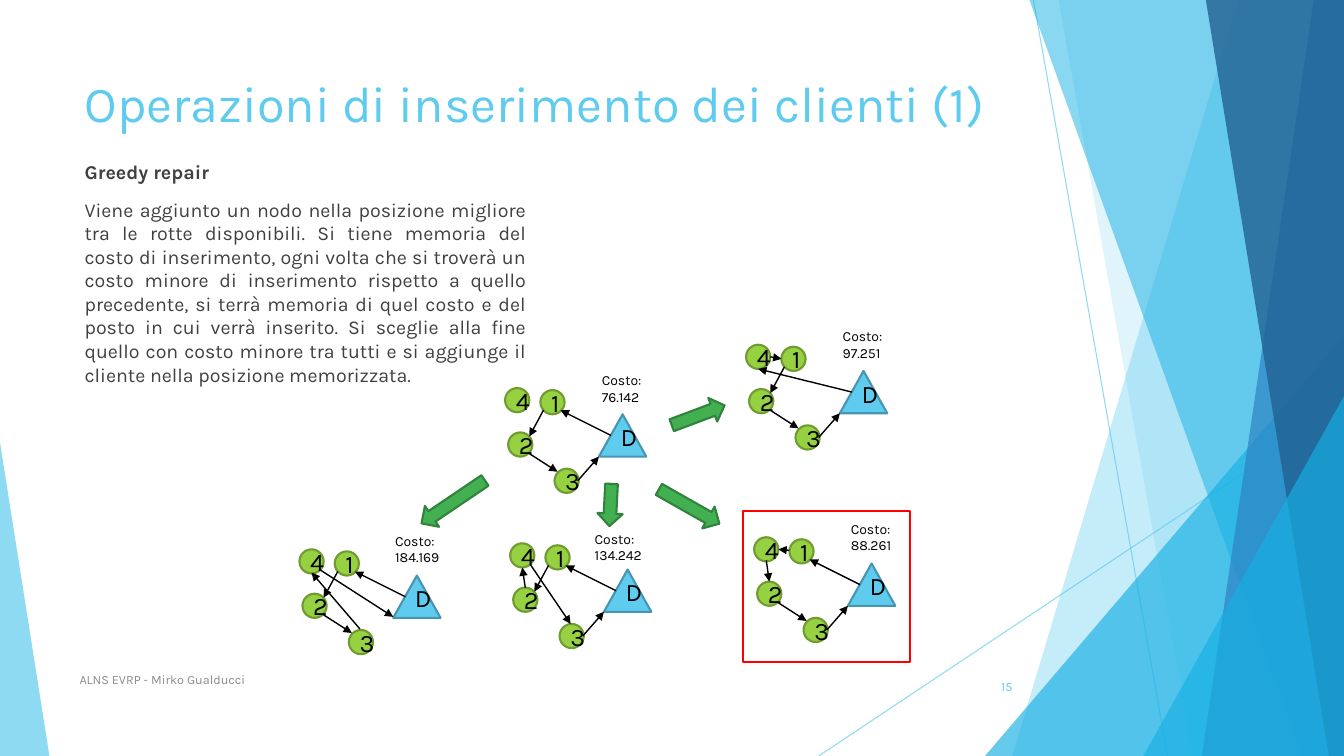
from lxml import etree
from pptx import Presentation
from pptx.dml.color import RGBColor
from pptx.enum import shapes, text
from pptx.oxml.ns import qn
from pptx.util import Inches, Pt

FONT = "Karla"
WIDTH, HEIGHT = 13.33, 7.5
SKY, CYAN, BLACK = "5FCBEF", "17B0E4", "000000"
NODE_SIZE = 0.24

# Offsets from the top left corner of a route diagram
NODES = {"1": (0.35, 0.02), "2": (0.03, 0.44), "3": (0.49, 0.8), "4": (0, 0)}
DEPOT = (0.93, 0.26)
EDGES = {
    "D1": ((1.05, 0.47), (0.55, 0.22)),
    "D4": ((1.05, 0.47), (0.12, 0.24)),
    "12": ((0.38, 0.22), (0.24, 0.48)),
    "14": ((0.35, 0.13), (0.24, 0.12)),
    "23": ((0.24, 0.65), (0.52, 0.83)),
    "24": ((0.15, 0.44), (0.12, 0.24)),
    "34": ((0.6, 0.79), (0.12, 0.23)),
    "3D": ((0.72, 0.92), (0.93, 0.68)),
    "41": ((0.24, 0.12), (0.35, 0.14)),
    "42": ((0.12, 0.23), (0.15, 0.44)),
    "43": ((0.2, 0.21), (0.6, 0.8)),
    "4D": ((0.2, 0.2), (0.93, 0.67)),
}

# Corner, stops in order, cost, corner of the cost label
ROUTES = [
    ((5.01, 3.85), "D123D", "76.142", (5.87, 3.64)),
    ((7.4, 3.42), "D4123D", "97.251", (8.26, 3.2)),
    ((7.48, 5.33), "D1423D", "88.261", (8.34, 5.11)),
    ((2.97, 5.45), "D1234D", "184.169", (3.82, 5.23)),
    ((5.06, 5.39), "D1243D", "134.242", (5.8, 5.21)),
]

# Left, top, length, rotation
BLOCK_ARROWS = [
    (6.8, 3.84, 0.56, 249.4),
    (6.71, 4.68, 0.69, 299.6),
    (5.93, 4.8, 0.42, 2.9),
    (4.37, 4.6, 0.76, 55.9),
]

# Top left x, bottom left x, colour, opacity in percent
BACK_PANELS = [(12.28, 10.04, SKY, 36), (10.5, 11.83, SKY, 20)]
FRONT_PANELS = [
    (10.21, 12.91, CYAN, 50),
    (13.03, 11.92, "2E83C3", 70),
    (11.96, 13.18, "226292", 80),
]

BODY = (
    "Viene aggiunto un nodo nella posizione migliore tra le rotte disponibili. "
    "Si tiene memoria del costo di inserimento, ogni volta che si troverà un costo "
    "minore di inserimento rispetto a quello precedente, si terrà memoria di quel "
    "costo e del posto in cui verrà inserito. Si sceglie alla fine quello con costo "
    "minore tra tutti e si aggiunge il cliente nella posizione memorizzata."
)


def paint(color_format, color, opacity=100):
    color_format.rgb = RGBColor.from_string(color)
    if opacity < 100:
        for element in color_format._xFill.iter(qn("a:srgbClr")):
            etree.SubElement(element, qn("a:alpha")).set("val", str(opacity * 1000))


def style_shape(shape, fill=None, line=None, opacity=100):
    shape.shadow.inherit = False
    if fill:
        shape.fill.solid()
        paint(shape.fill.fore_color, fill)
        for element in shape._element.spPr.find(qn("a:solidFill")):
            if opacity < 100:
                etree.SubElement(element, qn("a:alpha")).set("val", str(opacity * 1000))
    else:
        shape.fill.background()
    if line:
        paint(shape.line.color, line)
        shape.line.width = Pt(1.5)
    else:
        shape.line.fill.background()


def add_preset(slide, kind, left, top, width, height, **style):
    shape = slide.shapes.add_shape(
        kind, Inches(left), Inches(top), Inches(width), Inches(height))
    style_shape(shape, **style)
    return shape


def add_line(slide, start, end, color, width, opacity=100, arrow=False):
    line = slide.shapes.add_connector(
        shapes.MSO_CONNECTOR.STRAIGHT, *map(Inches, (*start, *end)))
    line.line.width = Pt(width)
    paint(line.line.color, color)
    outline = line.line._get_or_add_ln()
    if opacity < 100:
        for element in outline.iter(qn("a:srgbClr")):
            etree.SubElement(element, qn("a:alpha")).set("val", str(opacity * 1000))
    if arrow:
        etree.SubElement(outline, qn("a:tailEnd")).set("type", "triangle")
    etree.SubElement(line._element.spPr, qn("a:effectLst"))


def format_text(paragraph, size, color, align=text.PP_ALIGN.LEFT, bold=False):
    paragraph.alignment = align
    for run in paragraph.runs:
        run.font.name = FONT
        run.font.size = Pt(size)
        run.font.bold = bold
        paint(run.font.color, color)


def add_text(slide, left, top, width, height, content, size, color,
             align=text.PP_ALIGN.LEFT, anchor=text.MSO_ANCHOR.TOP, wrap=True):
    box = slide.shapes.add_textbox(
        Inches(left), Inches(top), Inches(width), Inches(height))
    frame = box.text_frame
    frame.text = content
    frame.word_wrap = wrap
    frame.vertical_anchor = anchor
    for paragraph in frame.paragraphs:
        format_text(paragraph, size, color, align)
    return frame


def add_label(shape, label, anchor):
    frame = shape.text_frame
    frame.text = label
    frame.vertical_anchor = anchor
    format_text(frame.paragraphs[0], 18, BLACK, text.PP_ALIGN.CENTER)


def add_panel(slide, top_x, bottom_x, color, opacity):
    """Full-height panel that reaches the right edge of the slide."""
    corners = [(WIDTH, 0), (WIDTH, HEIGHT), (bottom_x, HEIGHT)]
    builder = slide.shapes.build_freeform(Inches(top_x), 0)
    builder.add_line_segments([(Inches(x), Inches(y)) for x, y in corners])
    style_shape(builder.convert_to_shape(), fill=color, opacity=opacity)


def add_corner(slide, left, top, width, apex, color, opacity):
    """Triangle that stands on the bottom edge of the slide."""
    corner = add_preset(slide, shapes.MSO_SHAPE.ISOSCELES_TRIANGLE, left, top,
                        width, HEIGHT - top, fill=color, opacity=opacity)
    corner.adjustments[0] = apex


def add_background(slide):
    add_line(slide, (10.25, 0), (11.58, HEIGHT), SKY, 0.75, opacity=70)
    add_line(slide, (WIDTH, 4.03), (8.12, HEIGHT), SKY, 0.75, opacity=70)
    for panel in BACK_PANELS:
        add_panel(slide, *panel)
    add_corner(slide, 9.77, 3.33, 3.56, 1, CYAN, 66)
    for panel in FRONT_PANELS:
        add_panel(slide, *panel)
    add_corner(slide, 11.34, 3.93, 1.99, 1, CYAN, 66)
    add_corner(slide, 0, 4.39, 0.49, 0, SKY, 70)


def add_route(slide, corner, stops, cost, label_corner):
    def place(offset):
        return corner[0] + offset[0], corner[1] + offset[1]

    for name, offset in NODES.items():
        node = add_preset(slide, shapes.MSO_SHAPE.OVAL, *place(offset),
                          NODE_SIZE, NODE_SIZE, fill="96D141", line="6F9B30")
        add_label(node, name, text.MSO_ANCHOR.MIDDLE)
    depot = add_preset(slide, shapes.MSO_SHAPE.ISOSCELES_TRIANGLE, *place(DEPOT),
                       0.47, 0.42, fill=SKY, line="4696B1")
    add_label(depot, "D", text.MSO_ANCHOR.BOTTOM)
    for origin, target in zip(stops, stops[1:]):
        start, end = EDGES[origin + target]
        add_line(slide, place(start), place(end), BLACK, 1, arrow=True)
    label_width = 0.62 if len(cost) == 6 else 0.69
    add_text(slide, *label_corner, label_width, 0.44, f"Costo:\n{cost}", 10, BLACK,
             wrap=False)


def main():
    presentation = Presentation()
    presentation.slide_width = Inches(WIDTH)
    presentation.slide_height = Inches(HEIGHT)
    slide = presentation.slides.add_slide(presentation.slide_layouts[6])
    add_background(slide)
    add_text(slide, 0.74, 0.67, 9.4, 0.87,
             "Operazioni di inserimento dei clienti (1)", 36, SKY)
    body = add_text(slide, 0.74, 1.54, 4.58, 5.07, f"Greedy repair\n{BODY}", 14, "404040")
    heading, description = body.paragraphs
    heading.runs[0].font.bold = True
    description.alignment = text.PP_ALIGN.JUSTIFY
    description.space_before = Pt(10)
    add_text(slide, 0.69, 6.54, 6.89, 0.4, "ALNS EVRP - Mirko Gualducci", 9, "8C8C8C",
             anchor=text.MSO_ANCHOR.MIDDLE)
    add_text(slide, 9.39, 6.61, 0.75, 0.4, "15", 9, SKY,
             text.PP_ALIGN.RIGHT, text.MSO_ANCHOR.MIDDLE)
    for route in ROUTES:
        add_route(slide, *route)
    for left, top, length, rotation in BLOCK_ARROWS:
        arrow = add_preset(slide, shapes.MSO_SHAPE.DOWN_ARROW, left, top, 0.25, length,
                           fill="42B051", line="31823C")
        arrow.rotation = rotation
    add_preset(slide, shapes.MSO_SHAPE.RECTANGLE, 7.37, 5.07, 1.66, 1.5, line="FF0000")
    presentation.save("out.pptx")


if __name__ == "__main__":
    main()
